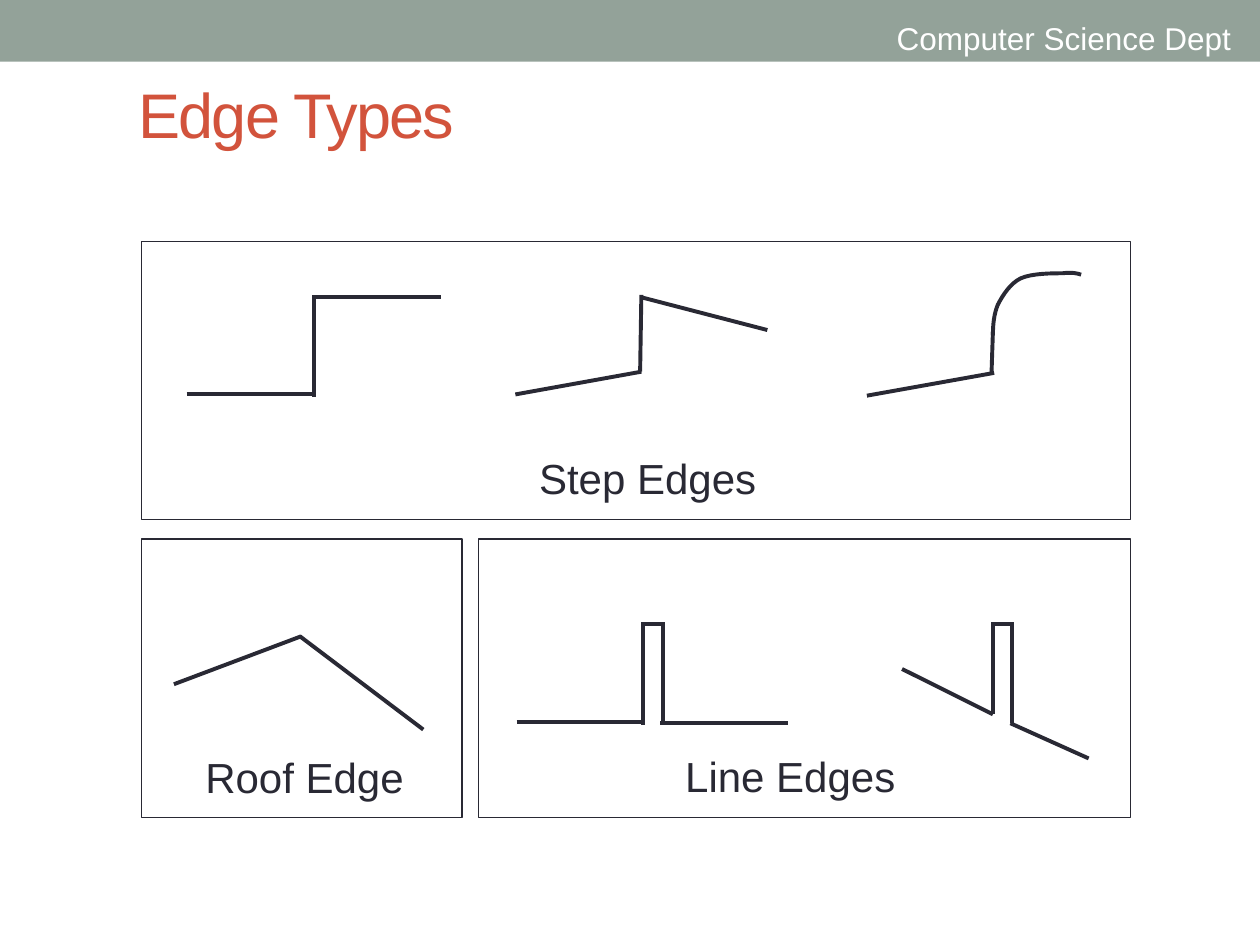
from dataclasses import dataclass

from lxml.etree import SubElement
from pptx import Presentation
from pptx.dml.color import RGBColor
from pptx.enum.shapes import MSO_CONNECTOR, MSO_SHAPE
from pptx.enum.text import MSO_ANCHOR, PP_ALIGN
from pptx.oxml.ns import qn
from pptx.util import Pt


@dataclass(frozen=True)
class Theme:
    font: str = "Arial"
    ink: RGBColor = RGBColor(0x29, 0x29, 0x34)
    accent: RGBColor = RGBColor(0xD2, 0x53, 0x3C)
    band: RGBColor = RGBColor(0x93, 0xA2, 0x99)
    white: RGBColor = RGBColor(0xFF, 0xFF, 0xFF)
    title_size: float = 36
    label_size: float = 24
    header_size: float = 18
    profile_width: float = 2.25
    border_width: float = 0.75


@dataclass(frozen=True)
class Box:
    left: float
    top: float
    width: float
    height: float

    def lengths(self):
        return [Pt(value) for value in (self.left, self.top, self.width, self.height)]

    def inside(self, left, top, width, height):
        return Box(self.left + left, self.top + top, width, height)

    def point(self, x, y):
        return Pt(self.left + x), Pt(self.top + y)


THEME = Theme()
SLIDE = Box(0, 0, 720, 540)
STEP_PANEL = Box(81, 138, 565, 159)
ROOF_PANEL = Box(81, 308, 183, 159)
LINE_PANEL = Box(273.5, 308, 372.5, 159)

# Each profile lists its strokes as (x1, y1, x2, y2) within the panel.
STEP_PROFILES = [
    [(25.6, 87.4, 98.3, 87.4), (98.3, 31.9, 171, 31.9), (98.3, 88.8, 98.3, 30.5)],
    [(213.5, 87.4, 285.5, 74.4), (285.5, 31.9, 357.5, 50.6), (284.8, 74.4, 285.5, 30.5)],
    [(414.4, 88.1, 487.1, 75.1), (485.6, 75.1, 486.4, 51.4)],
]
ROOF_PROFILES = [[(18.4, 83, 91.1, 55.6), (90.4, 55.6, 160.9, 108.9)]]
LINE_PROFILES = [
    [(21.7, 104.6, 94.4, 104.6), (103.8, 105.3, 176.5, 105.3),
     (93.7, 106, 93.7, 47.7), (105.2, 106, 105.2, 47.7), (93.7, 48.4, 105.2, 48.4)],
    [(242, 74.3, 293.9, 100.2), (303.9, 105.3, 348.6, 125.4),
     (293.9, 100.2, 293.9, 47.7), (304.7, 105.3, 304.7, 47.7), (293.1, 48.4, 304.7, 48.4)],
]
# Start point, then two control points and an end point for each segment.
SHOULDER = [
    (486.4, 53.5),
    (486.4, 47), (487.1, 41.3), (489.2, 36.2),
    (492.1, 30.5), (496.4, 24), (502.2, 21.1),
    (508.7, 18.2), (520.2, 18.2), (526, 18.2),
    (531.7, 17.5), (534.6, 18.2), (536.8, 19),
]


def add_text(slide, box, text, size, color, align=PP_ALIGN.LEFT,
             anchor=MSO_ANCHOR.TOP, wrap=True):
    shape = slide.shapes.add_textbox(*box.lengths())
    frame = shape.text_frame
    frame.text = text
    frame.word_wrap = wrap
    frame.vertical_anchor = anchor
    paragraph = frame.paragraphs[0]
    paragraph.alignment = align
    run = paragraph.runs[0]
    run.font.name = THEME.font
    run.font.size = Pt(size)
    run.font.color.rgb = color
    return run


def style_line(shape, width):
    shape.line.color.rgb = THEME.ink
    shape.line.width = Pt(width)


def add_header(slide, box):
    band = slide.shapes.add_shape(MSO_SHAPE.RECTANGLE, *box.lengths())
    band.shadow.inherit = False
    band.fill.solid()
    band.fill.fore_color.rgb = THEME.band
    band.line.fill.background()
    add_text(slide, box.inside(281.5, 7.2, 429, 28.8), "Computer Science Dept",
             THEME.header_size, THEME.white, align=PP_ALIGN.RIGHT)


def add_title(slide, box):
    run = add_text(slide, box, "Edge Types", THEME.title_size, THEME.accent,
                   anchor=MSO_ANCHOR.MIDDLE)
    run.font._element.set("spc", "-100")


def add_profile(slide, box, strokes):
    group = slide.shapes.add_group_shape()
    for x1, y1, x2, y2 in strokes:
        line = group.shapes.add_connector(
            MSO_CONNECTOR.STRAIGHT, *box.point(x1, y1), *box.point(x2, y2))
        style_line(line, THEME.profile_width)
        SubElement(line._element.spPr, qn("a:effectLst"))
    return group


def add_curve(group, box, points):
    """Draw a Bézier curve by merging each three straight segments into a cubic."""
    start, *others = [box.point(x, y) for x, y in points]
    builder = group.shapes.build_freeform(*start)
    builder.add_line_segments(others, close=False)
    curve = builder.convert_to_shape()
    curve.shadow.inherit = False
    curve.fill.background()
    style_line(curve, THEME.profile_width)
    segments = list(curve._element.iter(qn("a:lnTo")))
    outline = segments[0].getparent()
    for first in range(0, len(segments), 3):
        cubic = SubElement(outline, qn("a:cubicBezTo"))
        for segment in segments[first:first + 3]:
            cubic.append(segment[0])
            outline.remove(segment)


def add_panel(slide, box, profiles, label, label_box):
    """Draw a framed, labelled panel and return the groups of its profiles."""
    groups = [add_profile(slide, box, strokes) for strokes in profiles]
    frame = slide.shapes.add_shape(MSO_SHAPE.RECTANGLE, *box.lengths())
    frame.shadow.inherit = False
    frame.fill.background()
    style_line(frame, THEME.border_width)
    add_text(slide, box.inside(*label_box), label, THEME.label_size, THEME.ink, wrap=False)
    return groups


def main():
    presentation = Presentation()
    presentation.slide_width = Pt(SLIDE.width)
    presentation.slide_height = Pt(SLIDE.height)
    slide = presentation.slides.add_slide(presentation.slide_layouts[6])
    add_header(slide, SLIDE.inside(0, 0, SLIDE.width, 35.3))
    add_title(slide, SLIDE.inside(72, 32.4, 648, 64.8))
    step_groups = add_panel(slide, STEP_PANEL, STEP_PROFILES, "Step Edges",
                            (220, 117, 139, 36))
    add_curve(step_groups[-1], STEP_PANEL, SHOULDER)
    add_panel(slide, LINE_PANEL, LINE_PROFILES, "Line Edges", (111, 117.5, 134.6, 36))
    add_panel(slide, ROOF_PANEL, ROOF_PROFILES, "Roof Edge", (29.2, 118, 128.2, 36))
    presentation.save("out.pptx")


if __name__ == "__main__":
    main()
